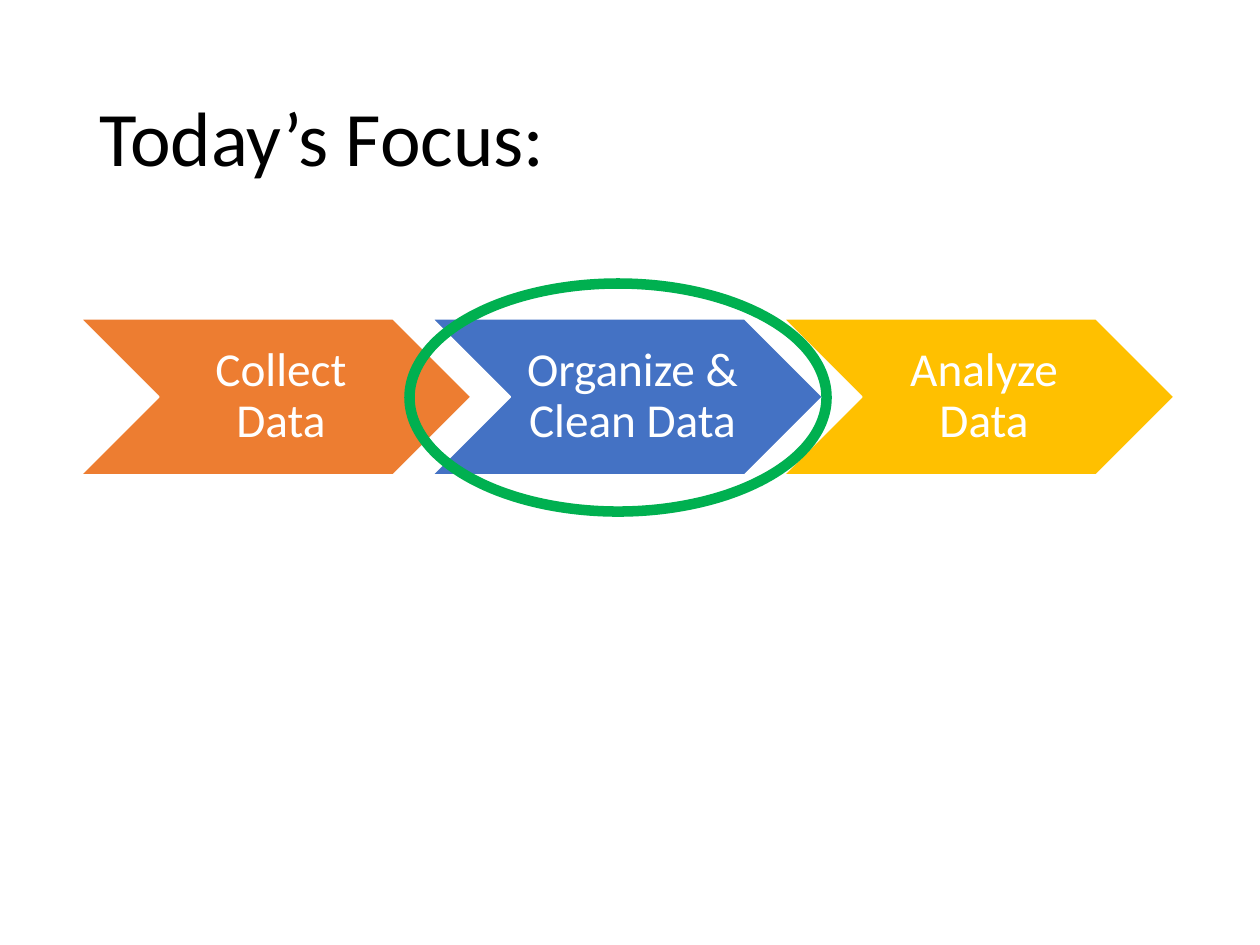
from dataclasses import dataclass

from pptx import Presentation
from pptx.dml.color import RGBColor
from pptx.enum.shapes import MSO_SHAPE
from pptx.enum.text import MSO_ANCHOR, PP_ALIGN
from pptx.util import Inches, Pt


@dataclass(frozen=True)
class Theme:
    font: str = "Calibri"
    title_size: int = 44
    step_size: int = 27
    ink: str = "000000"
    white: str = "FFFFFF"
    collect: str = "ED7D31"
    organize: str = "4472C4"
    analyze: str = "FFC000"
    focus: str = "00B050"


def write_text(shape, text, *, font, size, color, align=PP_ALIGN.LEFT,
               insets=(0.1, 0.05, 0.1, 0.05)):
    frame = shape.text_frame
    frame.word_wrap = True
    frame.vertical_anchor = MSO_ANCHOR.MIDDLE
    (frame.margin_left, frame.margin_top,
     frame.margin_right, frame.margin_bottom) = map(Inches, insets)
    paragraph = frame.paragraphs[0]
    paragraph.text = text
    paragraph.alignment = align
    paragraph.line_spacing = 0.9
    paragraph.font.name = font
    paragraph.font.size = Pt(size)
    paragraph.font.color.rgb = RGBColor.from_string(color)


class SlideBuilder:
    """Places elements on a grid of 100 columns by 75 rows."""

    COLUMNS, ROWS = 100, 75

    def __init__(self, deck, theme):
        self.theme = theme
        self.slide = deck.slides.add_slide(deck.slide_layouts[6])
        self.column = deck.slide_width / self.COLUMNS
        self.row = deck.slide_height / self.ROWS

    def place(self, left, top, width, height):
        return (round(left * self.column), round(top * self.row),
                round(width * self.column), round(height * self.row))

    def outlined_shape(self, kind, area, line, weight, fill=None):
        shape = self.slide.shapes.add_shape(kind, *self.place(*area))
        shape.shadow.inherit = False
        if fill:
            shape.fill.solid()
            shape.fill.fore_color.rgb = RGBColor.from_string(fill)
        else:
            shape.fill.background()
        shape.line.color.rgb = RGBColor.from_string(line)
        shape.line.width = Pt(weight)
        return shape

    def title(self, text, area):
        heading = self.slide.shapes.add_textbox(*self.place(*area))
        write_text(heading, text, font=self.theme.font,
                   size=self.theme.title_size, color=self.theme.ink)

    def step(self, text, area, fill):
        chevron = self.outlined_shape(MSO_SHAPE.CHEVRON, area,
                                      self.theme.white, 1, fill)
        write_text(chevron, text, font=self.theme.font,
                   size=self.theme.step_size, color=self.theme.white,
                   align=PP_ALIGN.CENTER, insets=(0.12, 0.04, 0.04, 0.04))

    def focus_ring(self, area):
        self.outlined_shape(MSO_SHAPE.OVAL, area, self.theme.focus, 6)


def main():
    deck = Presentation()
    deck.slide_width, deck.slide_height = Inches(10), Inches(7.5)
    theme = Theme()
    builder = SlideBuilder(deck, theme)

    builder.title("Today’s Focus:", (6.9, 4, 86.2, 14.5))

    # Process steps: each chevron overlaps the one before by a tenth
    steps = [("Collect Data", theme.collect),
             ("Organize & Clean Data", theme.organize),
             ("Analyze Data", theme.analyze)]
    left, top, width, height = 6.4, 25.3, 31, 12.4
    for index, (label, color) in enumerate(steps):
        step_left = left + index * 0.9 * width
        builder.step(label, (step_left, top, width, height), color)

    # Ring around the current step
    builder.focus_ring((32.5, 22.5, 33.1, 18.1))

    deck.save("out.pptx")


if __name__ == "__main__":
    main()
